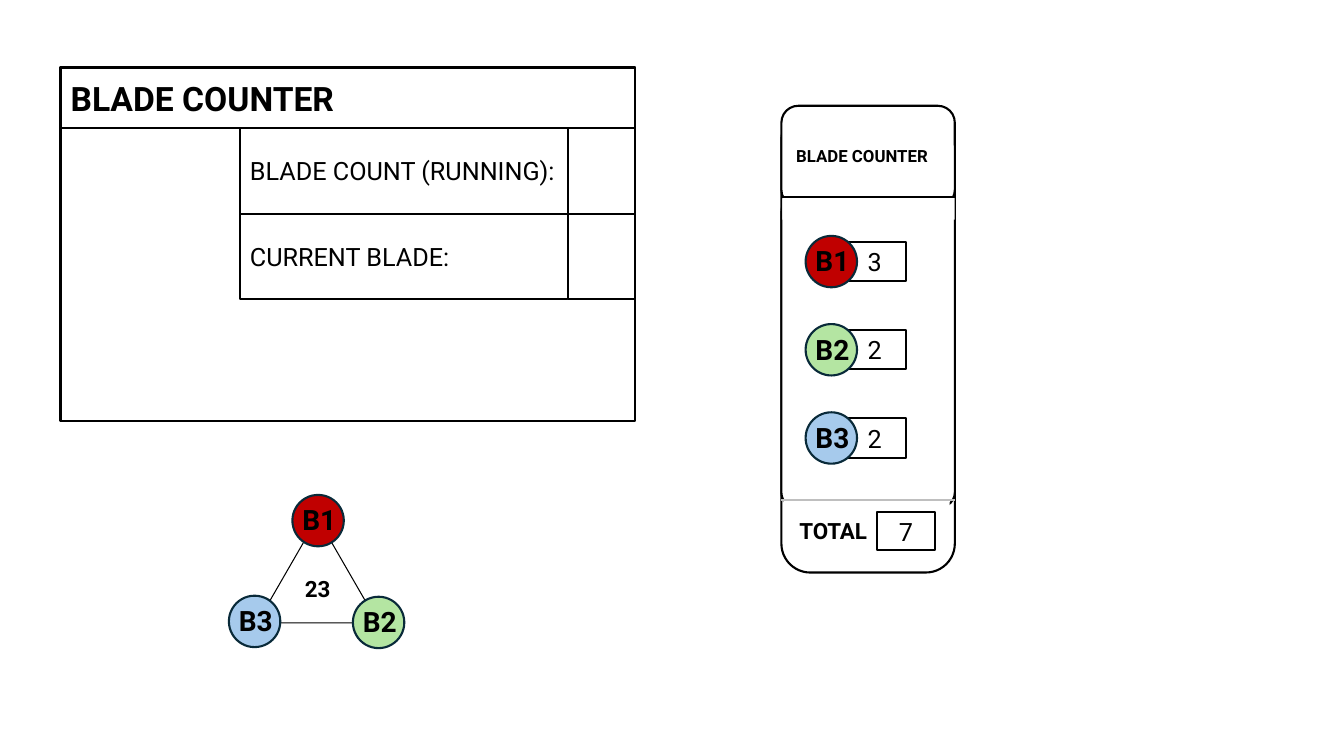
from lxml import etree
from pptx import Presentation
from pptx.dml.color import RGBColor
from pptx.enum.shapes import MSO_CONNECTOR, MSO_SHAPE
from pptx.enum.text import MSO_ANCHOR, MSO_AUTO_SIZE, PP_ALIGN
from pptx.oxml.ns import qn
from pptx.util import Inches, Pt

RECT, ROUND = MSO_SHAPE.RECTANGLE, MSO_SHAPE.ROUNDED_RECTANGLE
OVAL, TRIANGLE = MSO_SHAPE.OVAL, MSO_SHAPE.ISOSCELES_TRIANGLE
LEFT, CENTER = PP_ALIGN.LEFT, PP_ALIGN.CENTER
TOP, MIDDLE = MSO_ANCHOR.TOP, MSO_ANCHOR.MIDDLE
NO_FIT, GROW = MSO_AUTO_SIZE.NONE, MSO_AUTO_SIZE.SHAPE_TO_FIT_TEXT

FONT = "Roboto"
BLACK, WHITE, GREY, NAVY = "000000", "FFFFFF", "BFBFBF", "092A39"
BLADES = {"B1": "C00000", "B2": "B4E5A2", "B3": "A6CAEC"}
BADGE = 0.51


def rgb(value):
    return RGBColor.from_string(value)


def write(sp, text, size=18, bold=False, align=LEFT, anchor=MIDDLE, fit=NO_FIT):
    tf = sp.text_frame
    tf.word_wrap = True
    tf.auto_size = fit
    tf.vertical_anchor = anchor
    p = tf.paragraphs[0]
    p.alignment = align
    r = p.add_run()
    r.text = text
    r.font.name, r.font.size, r.font.bold = FONT, Pt(size), bold
    r.font.color.rgb = rgb(BLACK)


def paint(sp, fill=WHITE, line=BLACK, width=1.5):
    if fill:
        sp.fill.solid()
        sp.fill.fore_color.rgb = rgb(fill)
    else:
        sp.fill.background()
    if line:
        sp.line.color.rgb = rgb(line)
        sp.line.width = Pt(width)
    else:
        sp.line.fill.background()


def add_box(shapes, x, y, w, h, kind=RECT, text=None, look=None, **fmt):
    sp = shapes.add_shape(kind, Inches(x), Inches(y), Inches(w), Inches(h))
    sp.shadow.inherit = False
    paint(sp, **(look or {}))
    if text:
        write(sp, text, **fmt)
    return sp


def add_label(shapes, x, y, w, h, text, **fmt):
    sp = shapes.add_textbox(Inches(x), Inches(y), Inches(w), Inches(h))
    write(sp, text, anchor=TOP, fit=GROW, **fmt)


def add_rule(shapes, x, y, w, color):
    line = shapes.add_connector(MSO_CONNECTOR.STRAIGHT, Inches(x), Inches(y),
                                Inches(x + w), Inches(y))
    line.line.color.rgb = rgb(color)
    line.line.width = Pt(1.5)
    etree.SubElement(line._element.spPr, qn("a:effectLst"))


def add_badge(shapes, x, y, name):
    add_box(shapes, x, y, BADGE, BADGE, OVAL,
            look={"fill": BLADES[name], "line": NAVY})
    add_label(shapes, x, y + 0.03, 0.63, 0.44, name, size=20, bold=True)


def running_panel(s, x, y, w, h):
    """Titled frame with a two-row readout against its right edge."""
    head = 0.6
    title = s.shapes.title
    title.left, title.top = Inches(x), Inches(y)
    title.width, title.height = Inches(w), Inches(head)
    paint(title)
    write(title, "BLADE COUNTER", size=24, bold=True)
    add_box(s.shapes, x, y, w, h, look={"fill": None})

    row_w, row_h, value_w = 3.92, 0.85, 0.67
    right = x + w
    for i, text in enumerate(("BLADE COUNT (RUNNING):", "CURRENT BLADE:")):
        row_y = y + head + i * row_h
        add_box(s.shapes, right - row_w, row_y, row_w, row_h, text=text)
        add_box(s.shapes, right - value_w, row_y, value_w, row_h)


def tally_card(s, x, y, w, h):
    """Rounded card with a header, one row per blade and a total."""
    shapes = s.shapes
    add_box(shapes, x, y + 0.78, w, h - 0.78, ROUND)
    body = add_box(shapes, x, y + 0.18, w, 3.8, ROUND)
    body.adjustments[0] = 0.083
    add_box(shapes, x, y, w, 1, ROUND, "BLADE COUNTER", size=12, bold=True)

    add_label(shapes, x + 0.08, y + 4.03, 2.02, 0.37, "TOTAL", size=16, bold=True)
    add_box(shapes, x + 0.95, y + 4.03, 0.57, 0.38, text="7", align=CENTER)

    cover = {"line": None}
    add_box(shapes, x + 0.02, y + 3.9, w - 0.07, 0.1, look=cover)
    add_rule(shapes, x, y + 3.91, w, GREY)
    add_box(shapes, x + 0.01, y + 0.91, w - 0.01, 0.22, look=cover)
    add_rule(shapes, x, y + 0.9, w, BLACK)

    for i, (name, count) in enumerate(zip(BLADES, "322")):
        row_y = y + 1.29 + i * 0.875
        add_box(shapes, x + 0.61, row_y + 0.06, 0.63, 0.39, text=count, align=CENTER)
        add_badge(shapes.add_group_shape().shapes, x + 0.24, row_y, name)


def blade_triangle(s, x, y, w, h):
    """Triangle with a blade badge on each corner and a number inside."""
    shapes = s.shapes.add_group_shape().shapes
    add_box(shapes, x + 0.28, y + 0.23, 1.2, 1.04, TRIANGLE,
            look={"fill": None, "width": 0.75})
    add_badge(shapes, x + 0.63, y, "B1")
    add_badge(shapes, x + w - BADGE, y + h - BADGE, "B2")
    add_badge(shapes, x, y + h - BADGE - 0.01, "B3")
    add_label(shapes, x + 0.59, y + 0.75, 0.58, 0.37, "23",
              size=16, bold=True, align=CENTER)


def main():
    prs = Presentation()
    prs.slide_width, prs.slide_height = Inches(13.33), Inches(7.5)
    s = prs.slides.add_slide(prs.slide_layouts[5])
    running_panel(s, 0.6, 0.67, 5.7, 3.51)
    tally_card(s, 7.75, 1.05, 1.72, 4.63)
    blade_triangle(s, 2.27, 4.91, 1.74, 1.52)
    prs.save("out.pptx")


if __name__ == "__main__":
    main()
